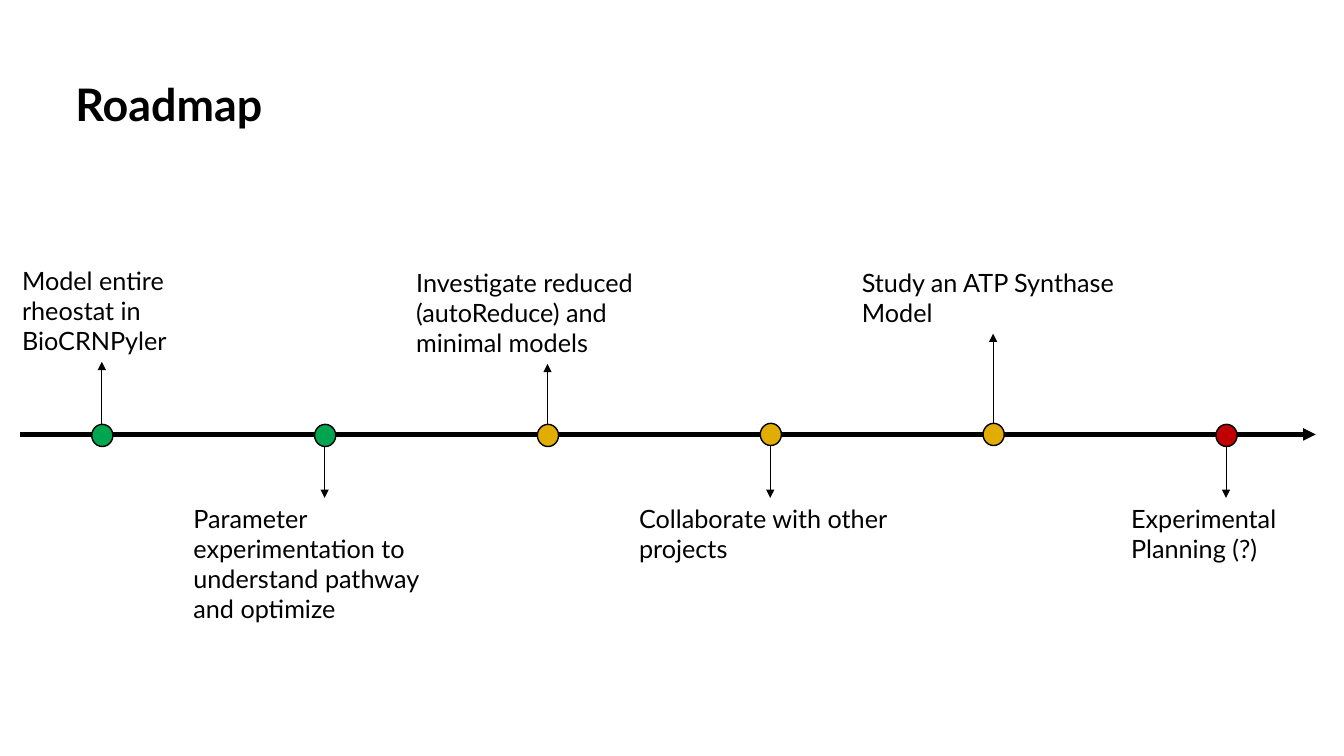
from dataclasses import dataclass

from lxml.etree import SubElement
from pptx import Presentation
from pptx.dml.color import RGBColor
from pptx.enum.shapes import MSO_CONNECTOR as Link, MSO_SHAPE as Shape
from pptx.enum.text import MSO_ANCHOR as Anchor
from pptx.oxml.ns import qn
from pptx.util import Emu, Pt

PX = 9144  # 100 px to the inch
BLACK, GREEN, GOLD, RED = "000000", "00A64F", "E1AD02", "C00000"
DOT_W, DOT_H = 21, 22
START, STEP = 101, 221
LOW = 494  # top of the labels under the axis


@dataclass
class Stage:
    text: str
    mid: int  # centre of the dot
    dot: int  # top of the dot
    fill: str
    top: int  # top of the label
    wide: int
    high: int


STAGES = [
    Stage("Model entire rheostat in BioCRNPyler", START, 421, GREEN, 258, 178, 101),
    Stage("Parameter experimentation to understand pathway and optimize",
          START + STEP, 421, GREEN, LOW, 280, 131),
    Stage("Investigate reduced (autoReduce) and minimal models",
          START + 2 * STEP, 421, GOLD, 260, 280, 101),
    Stage("Collaborate with other projects", START + 3 * STEP, 420, GOLD, LOW, 280, 71),
    Stage("Study an ATP Synthase Model", START + 4 * STEP, 420, GOLD, 260, 280, 71),
    Stage("Experimental Planning (?)", 1216, 421, RED, LOW, 208, 71),
]


def px(*sizes: int) -> list[Emu]:
    return [Emu(size * PX) for size in sizes]


def color(code: str) -> RGBColor:
    return RGBColor.from_string(code)


def label(slide, text: str, box: tuple[int, ...], size: int = 18,
          bold: bool = False, anchor=Anchor.TOP, space: float = 1.0) -> None:
    frame = slide.shapes.add_textbox(*px(*box)).text_frame
    frame.word_wrap = True
    frame.vertical_anchor = anchor
    para = frame.paragraphs[0]
    para.line_spacing = space
    run = para.add_run()
    run.text = text
    style = {"name": "Lato", "size": Pt(size), "bold": bold}
    for key, value in style.items():
        setattr(run.font, key, value)
    run.font.color.rgb = color(BLACK)


def arrow(slide, ends: tuple[int, ...], width: float) -> None:
    link = slide.shapes.add_connector(Link.STRAIGHT, *px(*ends))
    link.line.width = Pt(width)
    link.line.color.rgb = color(BLACK)
    SubElement(link.line._get_or_add_ln(), qn("a:tailEnd"), type="triangle")
    SubElement(link._element.spPr, qn("a:effectLst"))


def mark(slide, stage: Stage) -> None:
    box = px(stage.mid - DOT_W // 2, stage.dot, DOT_W, DOT_H)
    dot = slide.shapes.add_shape(Shape.OVAL, *box)
    dot.shadow.inherit = False
    dot.fill.solid()
    dot.fill.fore_color.rgb = color(stage.fill)
    dot.line.color.rgb = color(BLACK)
    dot.line.width = Pt(1)


def draw(slide, stage: Stage) -> None:
    box = (stage.mid - stage.wide // 2, stage.top, stage.wide, stage.high)
    label(slide, stage.text, box)
    mark(slide, stage)
    # The arrow runs from the dot to the near edge of the label
    if stage.top < stage.dot:
        begin, end = stage.dot, stage.top + stage.high
    else:
        begin, end = stage.dot + DOT_H, stage.top
    arrow(slide, (stage.mid, begin, stage.mid, end), 0.5)


def main() -> None:
    deck = Presentation()
    deck.slide_width, deck.slide_height = px(1333, 750)
    slide = deck.slides.add_slide(deck.slide_layouts[6])

    # Title
    label(slide, "Roadmap", (65, 34, 1150, 145), 32, True, Anchor.MIDDLE, 0.9)

    # Time axis
    arrow(slide, (20, 431, 1305, 431), 3)

    # Stages
    for stage in STAGES:
        draw(slide, stage)

    deck.save("out.pptx")


if __name__ == "__main__":
    main()
